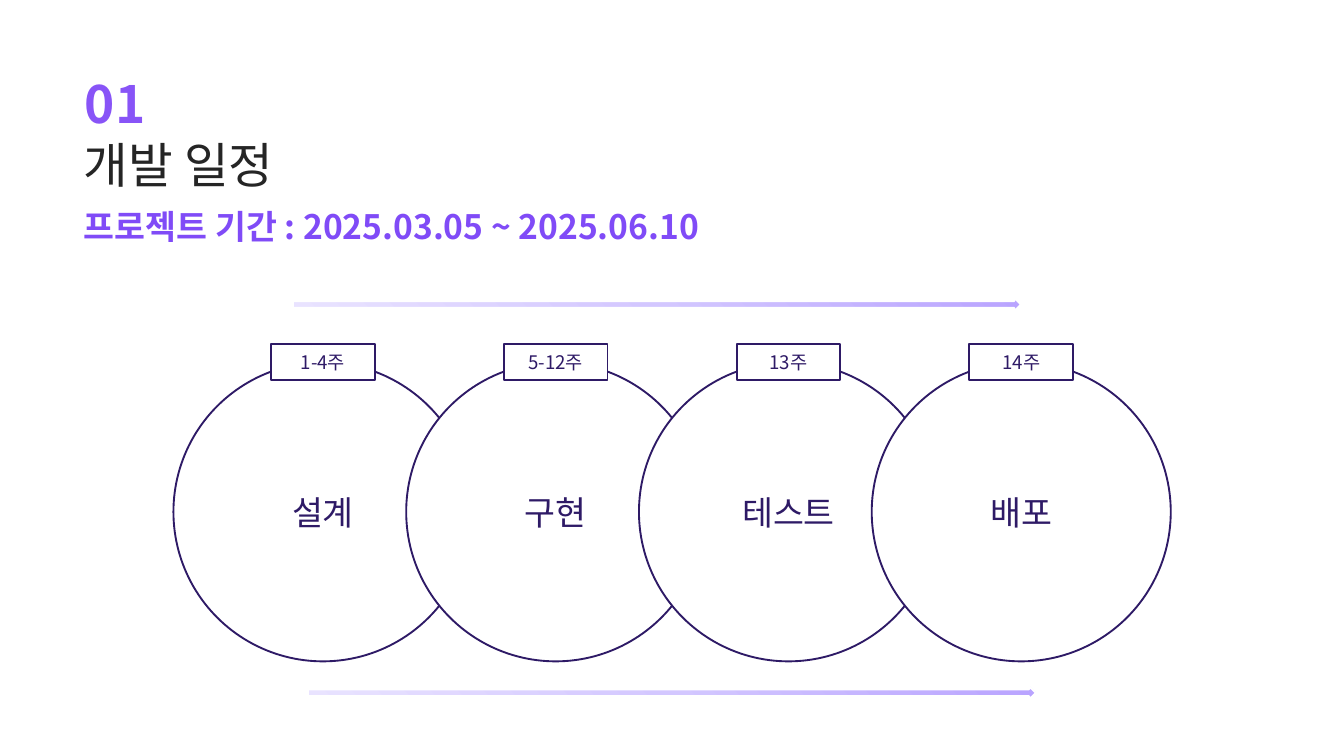
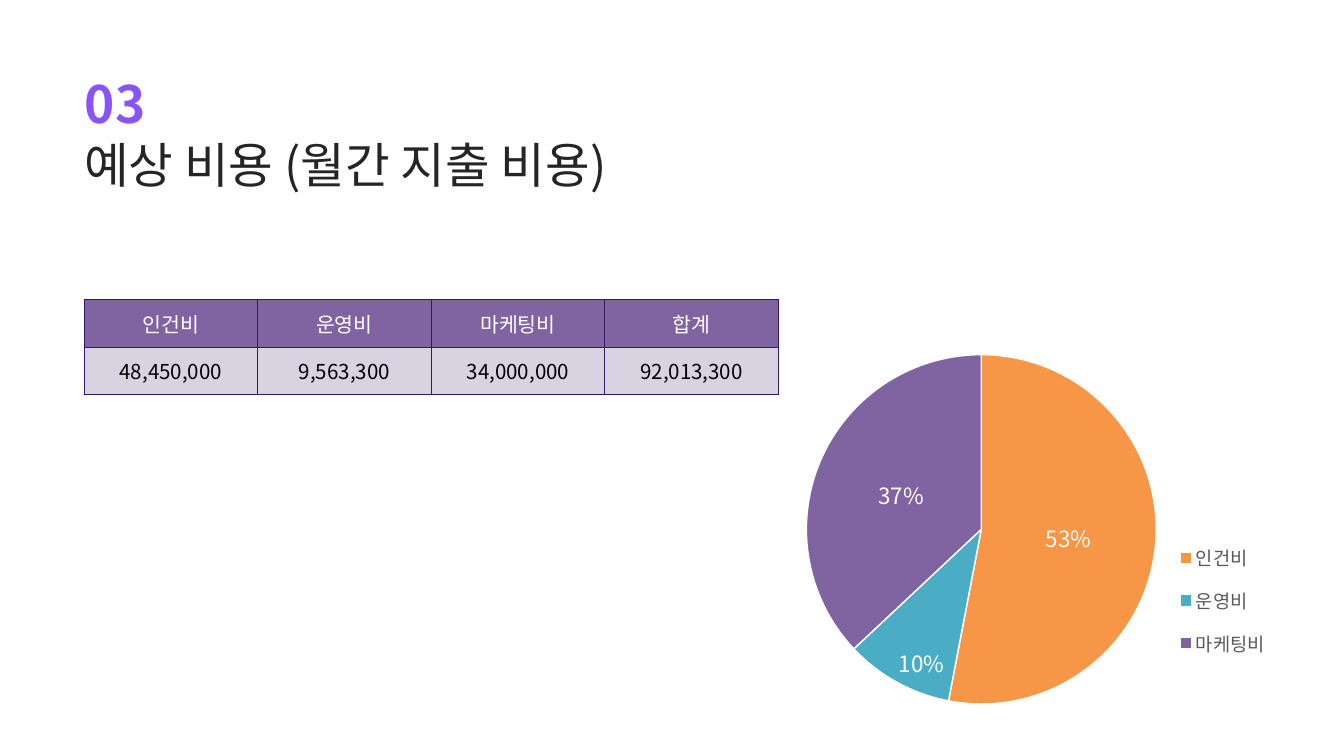
from lxml import etree
from pptx import Presentation
from pptx.chart.data import CategoryChartData
from pptx.dml.color import RGBColor
from pptx.enum.chart import XL_CHART_TYPE, XL_LABEL_POSITION, XL_LEGEND_POSITION
from pptx.enum.shapes import MSO_SHAPE
from pptx.enum.text import MSO_ANCHOR, MSO_AUTO_SIZE, PP_ALIGN
from pptx.oxml import parse_xml
from pptx.oxml.ns import nsdecls, qn
from pptx.util import Pt

CENTER = PP_ALIGN.CENTER
MIDDLE = MSO_ANCHOR.MIDDLE
ELLIPSE, RECTANGLE, ARROW = MSO_SHAPE.OVAL, MSO_SHAPE.RECTANGLE, MSO_SHAPE.RIGHT_ARROW
LABEL_CENTER, LABEL_INSIDE_END = XL_LABEL_POSITION.CENTER, XL_LABEL_POSITION.INSIDE_END

# Shared look
FONT = "Noto Sans CJK KR"
NUMBER_COLOR, TITLE_COLOR, PERIOD_COLOR = "8854F7", "252525", "804BF7"
NAVY, WHITE, BLACK, GRAY = "2E1A66", "FFFFFF", "000000", "595959"
PURPLE, PALE_PURPLE = "8064A2", "D8D3E0"
ARROW_GRADIENT = [(0, "B9A4FF"), (50, "D3C7FF"), (100, "E9E3FF")]
MARGIN = 90

# Content
SCHEDULE = {
    "number": "01",
    "title": "개발 일정",
    "period": "프로젝트 기간 : 2025.03.05 ~ 2025.06.10",
    "phases": [("설계", "1-4주"), ("구현", "5-12주"), ("테스트", "13주"), ("배포", "14주")],
}
COSTS = {
    "number": "03",
    "title": "예상 비용 (월간 지출 비용)",
    "table": [
        ("인건비", "운영비", "마케팅비", "합계"),
        ("48,450,000", "9,563,300", "34,000,000", "92,013,300"),
    ],
    "shares": [("인건비", 53, "F79646"), ("운영비", 10, "4BACC6"), ("마케팅비", 37, PURPLE)],
}

# Layout
CIRCLE_LEFT, CIRCLE_TOP, CIRCLE_SIZE, CIRCLE_STEP = 185.8, 388.2, 320.4, 249.4
TAG_TOP, TAG_WIDTH, TAG_HEIGHT = 368.8, 111, 38
ARROWS = [(329.8, 735.1), (313.9, 319)]
ARROW_WIDTH, ARROW_HEIGHT = 780, 14.4
TABLE_TOP, COLUMN_WIDTH, ROW_HEIGHT = 321, 186, 51
CHART_BOX = (606, 267, 768, 488)
PLOT_AREA = (0.336, 0.232, 0.488, 0.768)
LEGEND_AREA = (0.837, 0.615, 0.16, 0.315)


def color(value):
    return RGBColor.from_string(value)


def points(*lengths):
    return [Pt(length) for length in lengths]


def style_font(font, size, font_color, bold=False):
    font.size = Pt(size)
    font.bold = bold
    font.color.rgb = color(font_color)
    font.name = FONT
    latin = font._rPr.find(qn("a:latin"))
    latin.addnext(parse_xml(f'<a:ea {nsdecls("a")} typeface="{FONT}"/>'))


def write_centered(text_frame, text, size, font_color):
    paragraph = text_frame.paragraphs[0]
    paragraph.text = text
    paragraph.alignment = CENTER
    style_font(paragraph.font, size, font_color)


def add_line_of_text(slide, box, text, size, font_color, spacing, bold=False):
    text_frame = slide.shapes.add_textbox(*points(*box)).text_frame
    text_frame.margin_left = text_frame.margin_right = 0
    text_frame.margin_top = text_frame.margin_bottom = 0
    text_frame.word_wrap = True
    text_frame.auto_size = MSO_AUTO_SIZE.SHAPE_TO_FIT_TEXT
    paragraph = text_frame.paragraphs[0]
    paragraph.text = text
    paragraph.line_spacing = Pt(spacing)
    style_font(paragraph.font, size, font_color, bold)
    return paragraph


def add_heading(slide, number, title, title_width):
    paragraph = add_line_of_text(
        slide, (MARGIN, 33, 110, 100), number, 55, NUMBER_COLOR, 110, bold=True)
    paragraph.font._rPr.set("spc", "130")
    add_line_of_text(slide, (MARGIN, 103, title_width, 94), title, 52, TITLE_COLOR, 104)


def add_outlined(shapes, kind, box, line_color, fill_color=None):
    shape = shapes.add_shape(kind, *points(*box))
    shape.shadow.inherit = False
    shape.line.color.rgb = color(line_color)
    shape.line.width = Pt(2)
    if fill_color:
        shape.fill.solid()
        shape.fill.fore_color.rgb = color(fill_color)
    else:
        shape.fill.background()
    return shape


def add_labelled(shapes, kind, box, text, size, fill_color):
    shape = add_outlined(shapes, kind, box, NAVY, fill_color)
    shape.text_frame.vertical_anchor = MIDDLE
    write_centered(shape.text_frame, text, size, NAVY)


def add_gradient_arrow(slide, left, top):
    arrow = add_outlined(slide.shapes, ARROW, (left, top, ARROW_WIDTH, ARROW_HEIGHT), WHITE)
    stops = "".join(
        f'<a:gs pos="{position * 1000}"><a:srgbClr val="{value}"/></a:gs>'
        for position, value in ARROW_GRADIENT)
    gradient = parse_xml(
        f'<a:gradFill {nsdecls("a")} rotWithShape="1"><a:gsLst>{stops}</a:gsLst>'
        '<a:path path="circle"><a:fillToRect l="100000" b="100000"/></a:path></a:gradFill>')
    properties = arrow._element.spPr
    properties.replace(properties.find(qn("a:noFill")), gradient)


def add_phases(slide, phases):
    group = slide.shapes.add_group_shape()
    lefts = [CIRCLE_LEFT + index * CIRCLE_STEP for index in range(len(phases))]
    for index, (left, (name, _)) in enumerate(zip(lefts, phases)):
        box = (left, CIRCLE_TOP, CIRCLE_SIZE, CIRCLE_SIZE)
        add_labelled(group.shapes, ELLIPSE, box, name, 36, WHITE if index else None)
    for left, (_, weeks) in zip(lefts, phases):
        box = (left + (CIRCLE_SIZE - TAG_WIDTH) / 2, TAG_TOP, TAG_WIDTH, TAG_HEIGHT)
        add_labelled(group.shapes, RECTANGLE, box, weeks, 20, WHITE)


def set_cell_borders(cell):
    properties = cell._tc.get_or_add_tcPr()
    for index, side in enumerate(("lnL", "lnR", "lnT", "lnB")):
        properties.insert(index, parse_xml(
            f'<a:{side} {nsdecls("a")} w="{Pt(1)}"><a:solidFill>'
            f'<a:srgbClr val="{NAVY}"/></a:solidFill></a:{side}>'))


def add_cost_table(slide, rows):
    column_count = len(rows[0])
    box = (MARGIN, TABLE_TOP, COLUMN_WIDTH * column_count, ROW_HEIGHT * len(rows))
    table = slide.shapes.add_table(len(rows), column_count, *points(*box)).table
    table.first_row = table.horz_banding = False
    row_styles = [(PURPLE, WHITE), (PALE_PURPLE, BLACK)]
    for row, values, (fill_color, font_color) in zip(table.rows, rows, row_styles):
        for cell, value in zip(row.cells, values):
            cell.vertical_anchor = MIDDLE
            cell.fill.solid()
            cell.fill.fore_color.rgb = color(fill_color)
            write_centered(cell.text_frame, value, 22, font_color)
            set_cell_borders(cell)


def set_manual_layout(element, area, before, inner=False):
    """Place a chart part by fractions of the chart's width and height."""
    for old_layout in element.findall(qn("c:layout")):
        element.remove(old_layout)
    layout = parse_xml(f'<c:layout {nsdecls("c")}><c:manualLayout/></c:layout>')
    settings = [("layoutTarget", "inner")] if inner else []
    settings += [("xMode", "edge"), ("yMode", "edge"), *zip("xywh", area)]
    for name, value in settings:
        etree.SubElement(layout[0], qn(f"c:{name}")).set("val", str(value))
    element.find(qn(before)).addprevious(layout)


def add_cost_chart(slide, shares):
    data = CategoryChartData()
    data.categories = [name for name, _, _ in shares]
    data.add_series("Series 1", [value for _, value, _ in shares])
    chart = slide.shapes.add_chart(XL_CHART_TYPE.PIE, *points(*CHART_BOX), data).chart
    chart.has_title = False
    chart.font.size = Pt(10)
    chart.font.name = "Calibri"
    chart.has_legend = True
    chart.legend.position = XL_LEGEND_POSITION.BOTTOM
    chart.legend.include_in_layout = False
    style_font(chart.legend.font, 20, GRAY)
    set_manual_layout(chart.legend._element, LEGEND_AREA, "c:overlay")

    plot = chart.plots[0]
    plot.vary_by_categories = True
    set_manual_layout(plot._element.getparent(), PLOT_AREA, "c:pieChart", inner=True)
    series = plot.series[0]
    for index, (_, _, fill_color) in enumerate(shares):
        slice_format = series.points[index].format
        slice_format.fill.solid()
        slice_format.fill.fore_color.rgb = color(fill_color)
        slice_format.line.color.rgb = color(WHITE)
        slice_format.line.width = Pt(1.5)

    labels = series.data_labels
    labels.show_percentage = True
    labels.show_value = False
    labels.position = LABEL_CENTER
    style_font(labels.font, 24, WHITE)

    # The narrow slice carries its label near the rim
    smallest = min(range(len(shares)), key=lambda index: shares[index][1])
    rim_label = series.points[smallest].data_label
    style_font(rim_label.font, 24, WHITE)
    rim_label.position = LABEL_INSIDE_END
    label_element = labels._element.find(qn("c:dLbl"))
    label_element.find(qn("c:showVal")).set("val", "0")
    label_element.find(qn("c:showPercent")).set("val", "1")


def add_blank_slide(presentation):
    return presentation.slides.add_slide(presentation.slide_layouts[6])


def build_schedule(presentation):
    slide = add_blank_slide(presentation)
    add_heading(slide, SCHEDULE["number"], SCHEDULE["title"], 418)
    add_line_of_text(
        slide, (MARGIN, 232, 792, 35), SCHEDULE["period"], 36, PERIOD_COLOR, 32.1, bold=True)
    add_phases(slide, SCHEDULE["phases"])
    for left, top in ARROWS:
        add_gradient_arrow(slide, left, top)


def build_costs(presentation):
    slide = add_blank_slide(presentation)
    add_heading(slide, COSTS["number"], COSTS["title"], 630)
    add_cost_chart(slide, COSTS["shares"])
    add_cost_table(slide, COSTS["table"])


def main():
    presentation = Presentation()
    presentation.slide_width, presentation.slide_height = points(1440, 810)
    build_schedule(presentation)
    build_costs(presentation)
    presentation.save("out.pptx")


if __name__ == "__main__":
    main()
